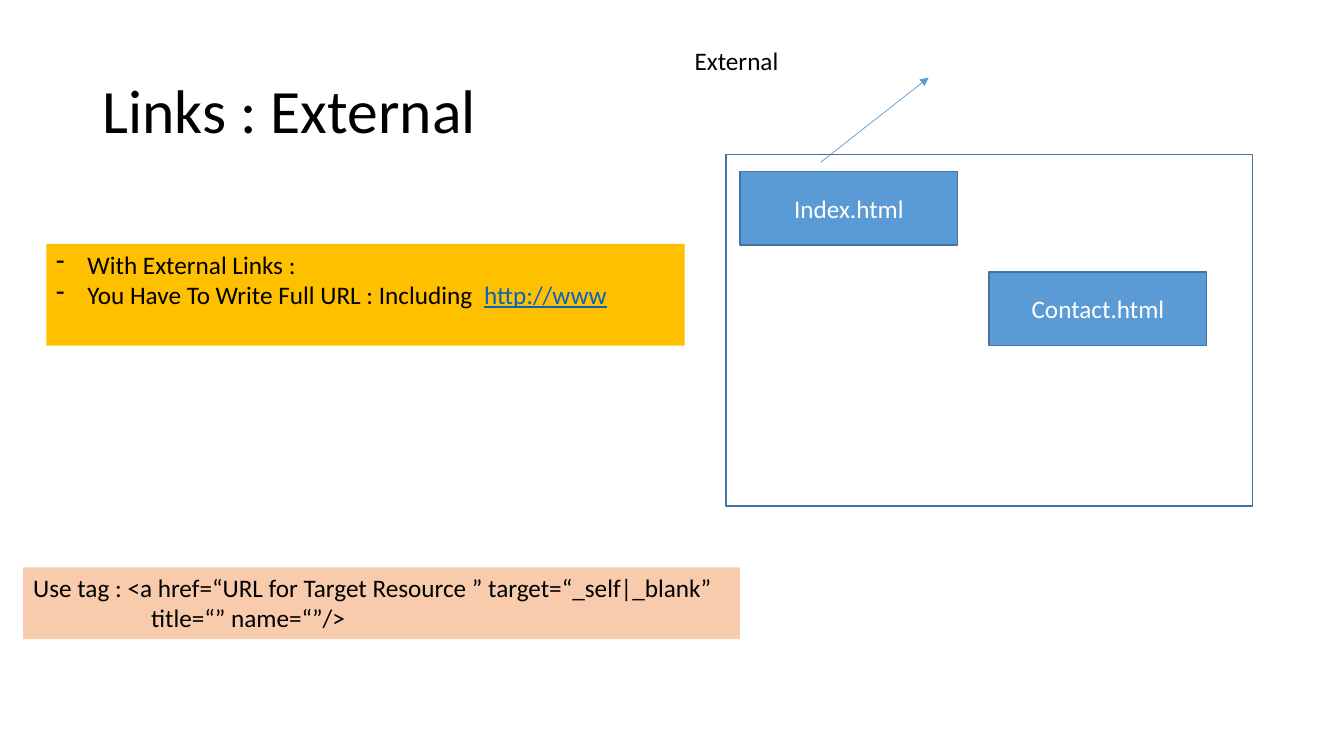
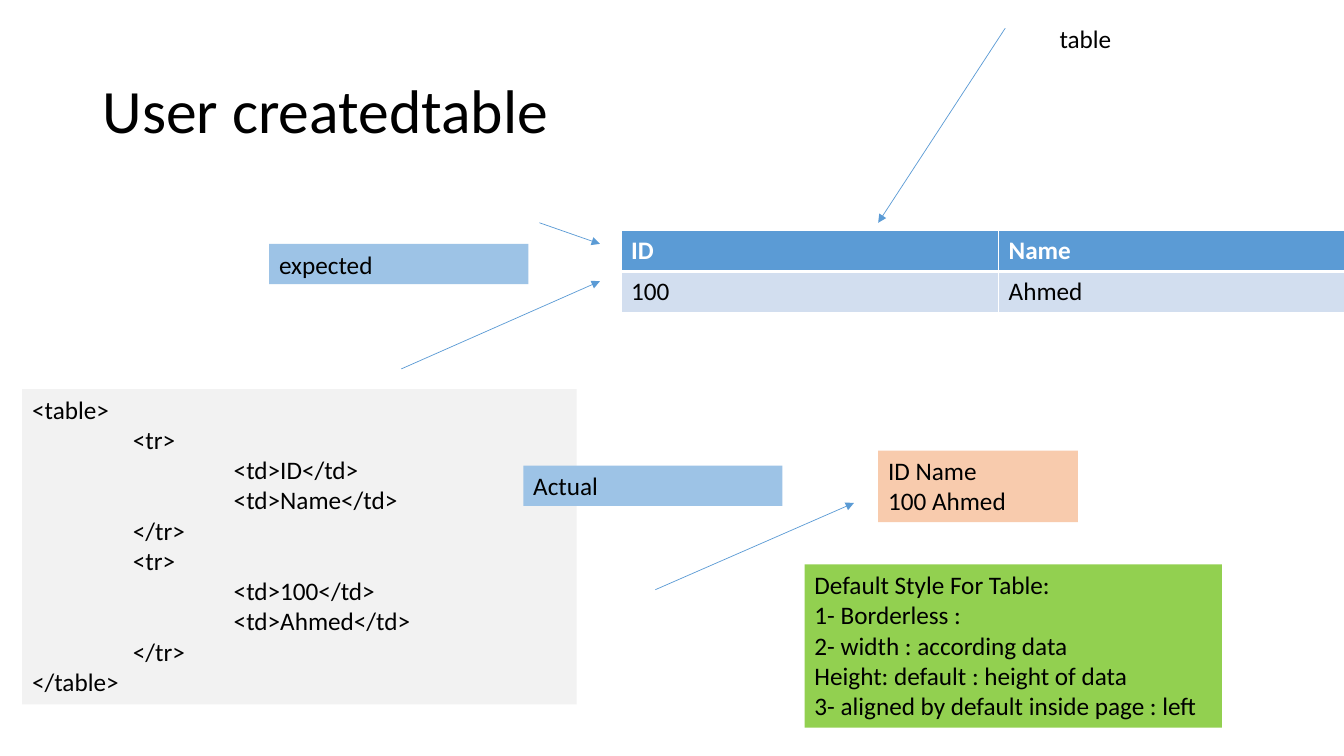
from dataclasses import dataclass

from pptx import Presentation
from pptx.dml.color import RGBColor
from pptx.enum.shapes import MSO_CONNECTOR as Connector, MSO_SHAPE as Preset
from pptx.enum.text import MSO_ANCHOR as Anchor, PP_ALIGN as Align
from pptx.oxml.ns import qn
from pptx.util import Inches, Pt
from lxml.etree import SubElement


# Shared look
@dataclass(frozen=True)
class Theme:
    font: str = "Calibri"
    title_size: int = 44
    body_size: int = 18
    black: str = "000000"
    white: str = "FFFFFF"
    blue: str = "5B9BD5"
    outline: str = "43739E"
    pale_blue: str = "9DC3E6"
    row_blue: str = "D2DEEF"
    link: str = "0563C1"
    amber: str = "FFC000"
    peach: str = "F8CBAD"
    green: str = "92D050"
    gray: str = "F2F2F2"


THEME = Theme()


@dataclass(frozen=True)
class Line:
    text: str
    indent: float = 0
    link: str = ""


def rgb(value):
    return RGBColor.from_string(value)


# Text
def add_run(paragraph, text, size, color, bold=False, underline=False):
    run = paragraph.add_run()
    run.text = text
    font = run.font
    font.name, font.size, font.bold = THEME.font, Pt(size), bold
    font.color.rgb = rgb(color)
    if underline:
        font.underline = True


def set_indent(paragraph, left, bullet=""):
    properties = paragraph._p.get_or_add_pPr()
    properties.set("marL", str(Inches(left)))
    if bullet:
        properties.set("indent", str(-Inches(left)))
        SubElement(properties, qn("a:buChar"), char=bullet)


def write_text(frame, lines, *, size=THEME.body_size, color=THEME.black, bold=False,
               align=Align.LEFT, anchor=Anchor.TOP, spacing=None, bullet=""):
    """Fill a text frame; each line is a string or a Line."""
    frame.word_wrap = True
    frame.vertical_anchor = anchor
    for index, line in enumerate(lines):
        line = line if isinstance(line, Line) else Line(line)
        paragraph = frame.add_paragraph() if index else frame.paragraphs[0]
        paragraph.alignment = align
        if spacing:
            paragraph.line_spacing = spacing
        if line.indent:
            set_indent(paragraph, line.indent, bullet)
        add_run(paragraph, line.text, size, color, bold)
        if line.link:
            add_run(paragraph, line.link, size, THEME.link, bold, underline=True)


def add_label(slide, box, *lines, **text_format):
    shape = slide.shapes.add_textbox(*map(Inches, box))
    write_text(shape.text_frame, lines, **text_format)


def add_title(slide, text):
    add_label(slide, (0.92, 0.4, 11.5, 1.45), text, size=THEME.title_size,
              anchor=Anchor.MIDDLE, spacing=0.9)


# Boxes and arrows
def add_box(slide, box, *lines, fill=None, line=None, **text_format):
    shape = slide.shapes.add_shape(Preset.RECTANGLE, *map(Inches, box))
    shape.shadow.inherit = False
    if fill:
        shape.fill.solid()
        shape.fill.fore_color.rgb = rgb(fill)
    else:
        shape.fill.background()
    if line:
        shape.line.color.rgb = rgb(line)
        shape.line.width = Pt(1)
    else:
        shape.line.fill.background()
    write_text(shape.text_frame, lines, **text_format)


def add_page_box(slide, left, top, name):
    add_box(slide, (left, top, 2.16, 0.73), name, fill=THEME.blue, line=THEME.outline,
            color=THEME.white, align=Align.CENTER, anchor=Anchor.MIDDLE)


def add_arrow(slide, start, end):
    arrow = slide.shapes.add_connector(Connector.STRAIGHT, *map(Inches, start + end))
    arrow.line.color.rgb = rgb(THEME.blue)
    arrow.line.width = Pt(0.5)
    SubElement(arrow.line._get_or_add_ln(), qn("a:tailEnd"), type="triangle")
    SubElement(arrow._element.spPr, qn("a:effectLst"))


# Table
def set_borders(cell, bottom_width):
    properties = cell._tc.get_or_add_tcPr()
    for side, width in (("L", 1), ("R", 1), ("T", 1), ("B", bottom_width)):
        border = SubElement(properties, qn(f"a:ln{side}"), w=str(Pt(width)))
        fill = SubElement(border, qn("a:solidFill"))
        SubElement(fill, qn("a:srgbClr"), val=THEME.white)


def add_data_table(slide, box, rows):
    frame = slide.shapes.add_table(len(rows), len(rows[0]), *map(Inches, box))
    for row_index, row in enumerate(rows):
        header = row_index == 0
        for column_index, text in enumerate(row):
            cell = frame.table.cell(row_index, column_index)
            set_borders(cell, 3 if header else 1)
            cell.fill.solid()
            cell.fill.fore_color.rgb = rgb(THEME.blue if header else THEME.row_blue)
            write_text(cell.text_frame, [text], bold=header,
                       color=THEME.white if header else THEME.black)


# Slides
def build_links_slide(slide):
    add_title(slide, "Links : External")
    add_box(slide, (7.2, 1.53, 5.22, 3.49), line=THEME.outline)
    add_page_box(slide, 7.34, 1.7, "Index.html")
    add_page_box(slide, 9.81, 2.7, "Contact.html")
    add_arrow(slide, (8.14, 1.61), (9.21, 0.77))
    add_label(slide, (6.79, 0.4, 2.01, 0.4), "External")
    add_box(slide, (0.46, 2.42, 6.33, 1.01),
            Line("With External Links :", 0.31),
            Line("You Have To Write Full URL : Including  ", 0.31, "http://www"),
            fill=THEME.amber, bullet="-")
    add_box(slide, (0.23, 5.63, 7.11, 0.71),
            "Use tag : <a href=“URL for Target Resource ” target=“_self|_blank”",
            Line("title=“” name=“”/>", 1.17), fill=THEME.peach)


def build_table_slide(slide):
    rows = [("ID", "Name"), ("100", "Ahmed")]
    add_title(slide, "User createdtable")
    add_data_table(slide, (6.16, 2.29, 7.49, 0.81), rows)

    # Markup that produces the table
    markup = ["<table>"]
    for row in rows:
        markup.append(Line("<tr>", 1))
        markup += [Line(f"<td>{value}</td>", 2) for value in row]
        markup.append(Line("</tr>", 1))
    markup.append("</table>")
    add_box(slide, (0.22, 3.86, 5.5, 3.13), *markup, fill=THEME.gray)

    # Expected and actual results
    for left, top, text in ((2.67, 2.42, "expected"), (5.19, 4.62, "Actual")):
        add_box(slide, (left, top, 2.57, 0.4), text, fill=THEME.pale_blue)
    add_box(slide, (8.71, 4.47, 1.98, 0.71), *map(" ".join, rows), fill=THEME.peach)
    add_box(slide, (7.98, 5.6, 4.14, 1.62),
            "Default Style For Table:", "1- Borderless :", "2- width : according data",
            "Height: default : height of data",
            "3- aligned by default inside page : left", fill=THEME.green)
    add_label(slide, (10.41, 0.18, 2.15, 0.4), "table")
    for start, end in (((3.98, 3.66), (5.95, 2.79)), ((6.5, 5.85), (8.47, 4.99)),
                       ((9.97, 0.28), (8.71, 2.21)), ((5.35, 2.21), (5.95, 2.42))):
        add_arrow(slide, start, end)


def main():
    presentation = Presentation()
    presentation.slide_width, presentation.slide_height = Inches(13.33), Inches(7.5)
    blank = presentation.slide_layouts[6]
    for build in (build_links_slide, build_table_slide):
        build(presentation.slides.add_slide(blank))
    presentation.save("out.pptx")


if __name__ == "__main__":
    main()
